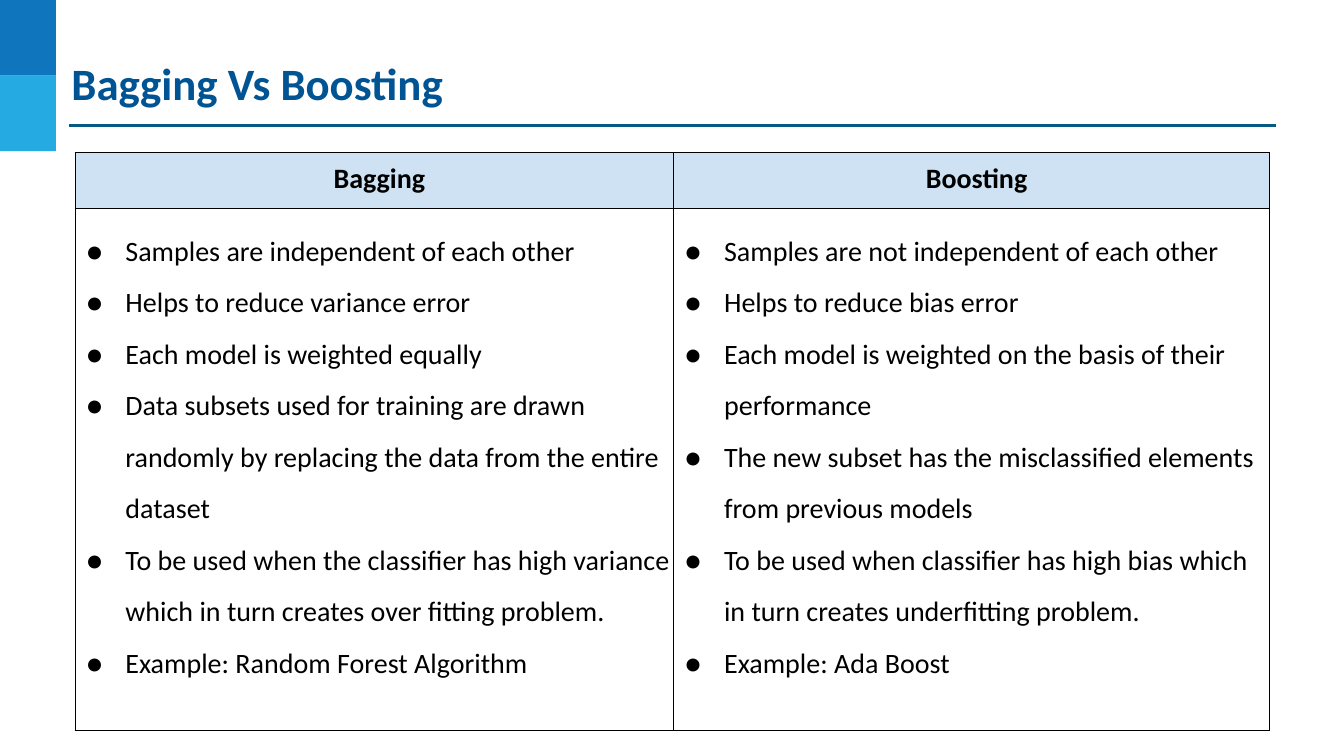
from lxml import etree
from pptx import Presentation
from pptx import util as u
from pptx.dml.color import RGBColor
from pptx.enum import shapes, text
from pptx.oxml import ns

DARK_BLUE = RGBColor(0x0F, 0x75, 0xBD)
LIGHT_BLUE = RGBColor(0x25, 0xAA, 0xE2)
RULE_BLUE = RGBColor(0x09, 0x5A, 0x82)
TITLE_BLUE = RGBColor(0x00, 0x54, 0x93)
HEADER_FILL = RGBColor(0xCF, 0xE2, 0xF3)
BLACK = RGBColor(0, 0, 0)

COMPARISON = {
    "Bagging": [
        "Samples are independent of each other",
        "Helps to reduce variance error",
        "Each model is weighted equally",
        "Data subsets used for training are drawn randomly by replacing "
        "the data from the entire dataset",
        "To be used when the classifier has high variance which in turn "
        "creates over fitting problem.",
        "Example: Random Forest Algorithm",
    ],
    "Boosting": [
        "Samples are not independent of each other",
        "Helps to reduce bias error",
        "Each model is weighted on the basis of their performance",
        "The new subset has the misclassified elements from previous models",
        "To be used when classifier has high bias which in turn creates "
        "underfitting problem.",
        "Example: Ada Boost",
    ],
}


def add_xml(parent, tag, **attributes):
    return etree.SubElement(parent, ns.qn(tag), attributes)


class SlideBuilder:
    """Places elements on a grid of 24 columns and 20 rows."""

    font = "Calibri"
    title_size = 32
    table_size = 20

    def __init__(self, presentation):
        self.column = presentation.slide_width / 24
        self.row = presentation.slide_height / 20
        self.slide = presentation.slides.add_slide(presentation.slide_layouts[5])

    def place(self, left, top, width, height):
        return (int(left * self.column), int(top * self.row),
                int(width * self.column), int(height * self.row))

    def format_runs(self, paragraph, size, color, bold):
        for run in paragraph.runs:
            run.font.name = self.font
            run.font.size = u.Pt(size)
            run.font.bold = bold
            run.font.color.rgb = color

    def block(self, left, top, width, height, color):
        shape = self.slide.shapes.add_shape(
            shapes.MSO_SHAPE.RECTANGLE, *self.place(left, top, width, height))
        shape.shadow.inherit = False
        shape.fill.solid()
        shape.fill.fore_color.rgb = color
        shape.line.fill.background()

    def rule(self, start, end, top, color, weight):
        x1, y, x2, _ = self.place(start, top, end, 0)
        line = self.slide.shapes.add_connector(
            shapes.MSO_CONNECTOR.STRAIGHT, x1, y, x2, y)
        line.line.color.rgb = color
        line.line.width = u.Pt(weight)
        add_xml(line._element.spPr, "a:effectLst")

    def title(self, words, left, top, width, height):
        title = self.slide.shapes.title
        title.left, title.top, title.width, title.height = self.place(
            left, top, width, height)
        frame = title.text_frame
        frame.text = words
        frame.word_wrap = True
        frame.auto_size = text.MSO_AUTO_SIZE.NONE
        frame.vertical_anchor = text.MSO_ANCHOR.TOP
        frame.margin_left = frame.margin_right = u.Inches(0.02)
        frame.margin_top = frame.margin_bottom = u.Inches(0.02)
        paragraph = frame.paragraphs[0]
        paragraph.alignment = text.PP_ALIGN.LEFT
        self.format_runs(paragraph, self.title_size, TITLE_BLUE, True)

    def table(self, comparison, left, top, widths, heights):
        table = self.slide.shapes.add_table(
            len(heights), len(widths),
            *self.place(left, top, sum(widths), sum(heights))).table
        for column, width in zip(table.columns, widths):
            column.width = int(width * self.column)
        for row, height in zip(table.rows, heights):
            row.height = int(height * self.row)
        for index, (heading, points) in enumerate(comparison.items()):
            self.header_cell(table.cell(0, index), heading)
            self.bullet_cell(table.cell(1, index), points)

    def prepare_cell(self, cell):
        cell.margin_left = cell.margin_right = cell.margin_bottom = 0
        cell.margin_top = u.Inches(0.09)
        properties = cell._tc.get_or_add_tcPr()
        for side in "LRTB":
            border = add_xml(properties, f"a:ln{side}", w=str(u.Pt(0.75)))
            fill = add_xml(border, "a:solidFill")
            add_xml(fill, "a:srgbClr", val=str(BLACK))

    def indent(self, paragraph, margin, first_line=0):
        properties = paragraph._p.get_or_add_pPr()
        properties.set("marL", str(u.Inches(margin)))
        properties.set("indent", str(u.Inches(first_line)))
        return properties

    def header_cell(self, cell, heading):
        self.prepare_cell(cell)
        cell.fill.solid()
        cell.fill.fore_color.rgb = HEADER_FILL
        cell.text_frame.text = heading
        paragraph = cell.text_frame.paragraphs[0]
        paragraph.alignment = text.PP_ALIGN.CENTER
        self.indent(paragraph, 0.1)
        self.format_runs(paragraph, self.table_size, BLACK, True)

    def bullet_cell(self, cell, points):
        self.prepare_cell(cell)
        cell.fill.background()
        cell.text_frame.text = "\n".join(points)
        for paragraph in cell.text_frame.paragraphs:
            paragraph.line_spacing = 1.5
            properties = self.indent(paragraph, 0.5, -0.39)
            color = add_xml(properties, "a:buClr")
            add_xml(color, "a:srgbClr", val=str(BLACK))
            add_xml(properties, "a:buFont", typeface=self.font)
            add_xml(properties, "a:buChar", char="●")
            self.format_runs(paragraph, self.table_size, BLACK, False)


def main():
    presentation = Presentation()
    presentation.slide_width = u.Inches(13.33)
    presentation.slide_height = u.Inches(7.5)
    builder = SlideBuilder(presentation)

    # Corner blocks and rule below the title
    for index, color in enumerate((DARK_BLUE, LIGHT_BLUE)):
        builder.block(0, 2 * index, 1, 2, color)
    builder.rule(1.23, 22.78, 3.33, RULE_BLUE, 2.25)

    # Title
    builder.title("Bagging Vs Boosting", 1.24, 1.41, 22.12, 2.21)

    # Comparison table
    builder.table(COMPARISON, 1.34, 4.03, (10.69, 10.64), (1.49, 13.81))

    presentation.save("out.pptx")


if __name__ == "__main__":
    main()
